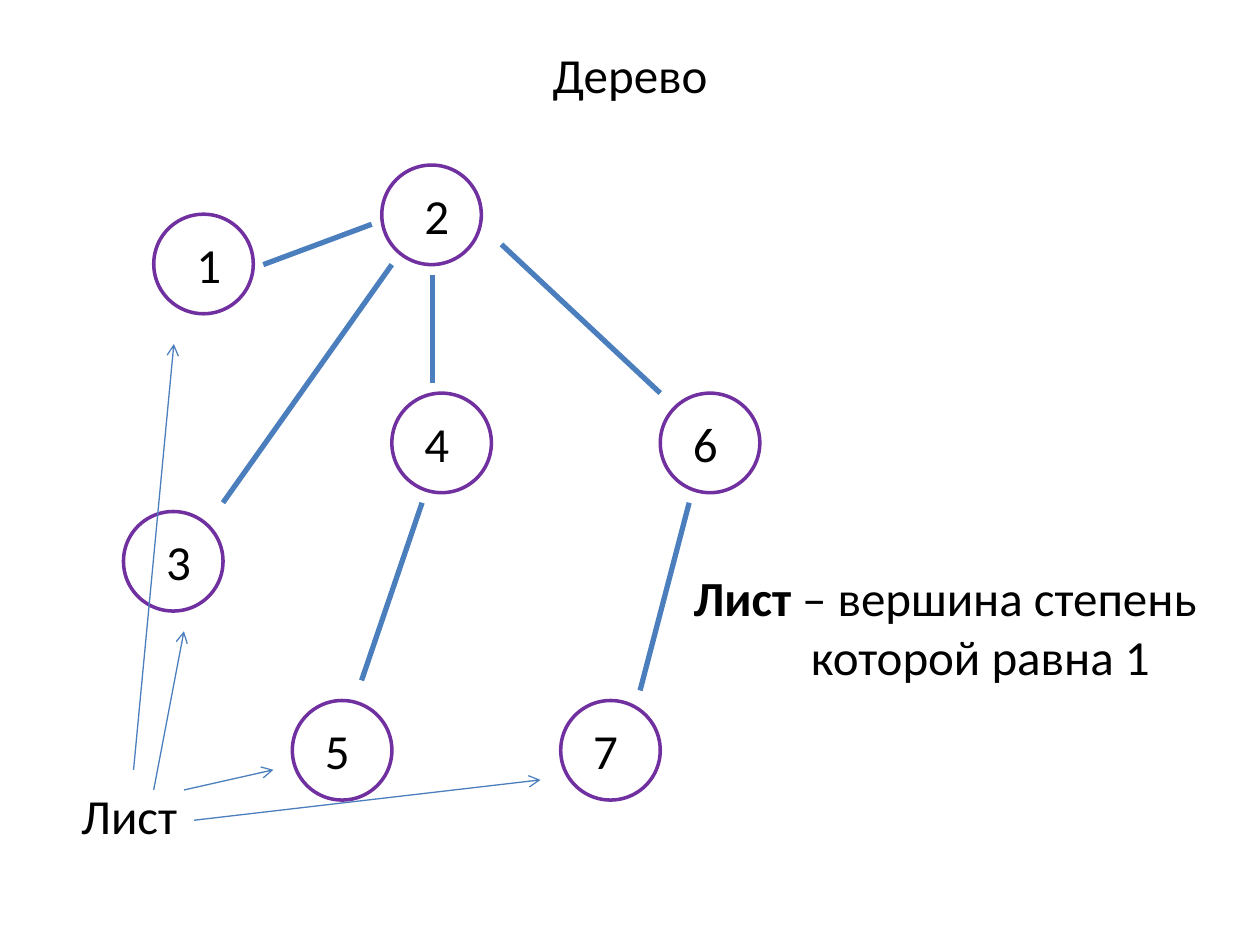
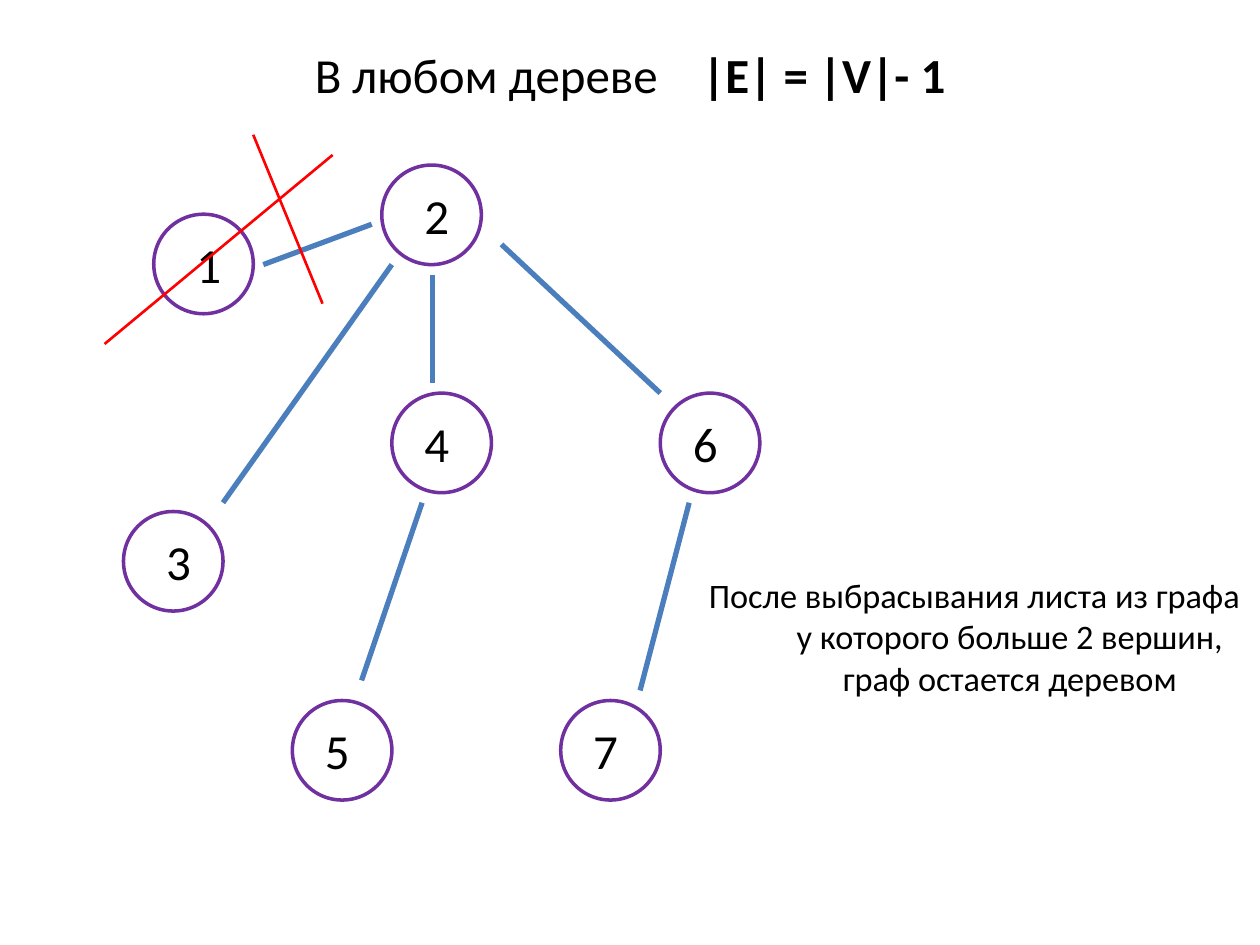
"""Build two slides about trees, leaves and the edge count of a tree."""
from lxml import etree
from pptx import Presentation
from pptx.dml.color import RGBColor
from pptx.enum.shapes import MSO_CONNECTOR, MSO_SHAPE
from pptx.enum.text import MSO_ANCHOR, MSO_AUTO_SIZE, PP_ALIGN
from pptx.oxml.ns import qn
from pptx.util import Emu, Pt

STRAIGHT = MSO_CONNECTOR.STRAIGHT
ELLIPSE = MSO_SHAPE.OVAL
MIDDLE = MSO_ANCHOR.MIDDLE
CENTER = PP_ALIGN.CENTER
FIXED = MSO_AUTO_SIZE.NONE

EMU_PER_PX = 9144
TITLE_ONLY = 5
FONT = "Calibri"
BLACK, WHITE, PURPLE, BLUE, RED = "000000", "FFFFFF", "7030A0", "4B7EBC", "FF0000"

DIAMETER = 79
HANGING = 56
LABEL_TOP = 8
NODES = {
    1: (122, 170, 24),
    2: (303, 131, 24),
    3: (98, 406, 24),
    4: (311, 312, 16),
    5: (232, 556, 16),
    6: (524, 312, 16),
    7: (445, 556, 16),
}
EDGES = [
    (295, 178, 209, 210),
    (177, 399, 311, 210),
    (343, 218, 343, 304),
    (335, 399, 287, 540),
    (547, 399, 508, 548),
    (398, 194, 524, 312),
]
LEAF_ARROWS = [
    (122, 627, 146, 501),
    (106, 611, 138, 273),
    (146, 627, 217, 611),
    (154, 651, 429, 619),
]
CROSS_OUT = [(201, 107, 256, 241), (264, 123, 83, 273)]


def px(value):
    """Turn pixels into EMU."""
    return Emu(value * EMU_PER_PX)


def color(value):
    """Turn a hex string into a colour."""
    return RGBColor.from_string(value)


class TreeDeck:
    """Hold the shared style and the current slide."""

    def __init__(self):
        """Start an empty deck."""
        self.deck = Presentation()
        self.deck.slide_width, self.deck.slide_height = px(1000), px(750)
        self.page = None

    def add_page(self, spans):
        """Add a slide with a formatted title."""
        self.page = self.deck.slides.add_slide(self.deck.slide_layouts[TITLE_ONLY])
        title = self.page.shapes.title
        title.left, title.top, title.width, title.height = map(px, (0, 0, 1000, 118))
        self.fill_text(title, spans)

    def fill_text(self, box, spans, size=28, hanging=0):
        """Put (text, bold, letter spacing) spans centred in a box."""
        frame = box.text_frame
        settings = {"word_wrap": True, "auto_size": FIXED, "vertical_anchor": MIDDLE}
        for name, value in settings.items():
            setattr(frame, name, value)
        para = frame.paragraphs[0]
        para.alignment = CENTER
        if hanging:
            properties = para._p.get_or_add_pPr()
            properties.set("marL", str(px(hanging)))
            properties.set("indent", str(px(-hanging)))
        for text, bold, spacing in spans:
            span = para.add_run()
            span.text = text
            for name, value in {"name": FONT, "size": Pt(size), "bold": bold}.items():
                setattr(span.font, name, value)
            span.font.color.rgb = color(BLACK)
            if spacing:
                span._r.get_or_add_rPr().set("spc", str(spacing))

    def text(self, place, spans, size=28, hanging=0):
        """Add a text box."""
        box = self.page.shapes.add_textbox(*map(px, place))
        self.fill_text(box, spans, size, hanging)

    def node(self, number, left, top, label_left):
        """Add a numbered vertex."""
        circle = self.page.shapes.add_shape(
            ELLIPSE, *map(px, (left, top, DIAMETER, DIAMETER)))
        circle.shadow.inherit = False
        circle.fill.solid()
        circle.fill.fore_color.rgb = color(WHITE)
        circle.line.color.rgb = color(PURPLE)
        circle.line.width = Pt(2)
        self.text((left + label_left, top + LABEL_TOP, 39, 63),
                  [(str(number), False, 0)])

    def line(self, ends, stroke, width, arrow=False):
        """Add a straight line, with an arrowhead at its end if asked."""
        connector = self.page.shapes.add_connector(STRAIGHT, *map(px, ends))
        connector.line.color.rgb = color(stroke)
        connector.line.width = Pt(width)
        properties = connector._element.spPr
        if arrow:
            etree.SubElement(properties.find(qn("a:ln")), qn("a:tailEnd"), type="arrow")
        etree.SubElement(properties, qn("a:effectLst"))

    def tree(self):
        """Draw the vertices and edges."""
        for number, place in NODES.items():
            self.node(number, *place)
        for edge in EDGES:
            self.line(edge, BLUE, 3)


def main():
    """Build both slides and save them."""
    slides = TreeDeck()

    slides.add_page([("Дерево", False, 0)])
    slides.tree()
    slides.text((531, 438, 438, 118),
                [("Лист", True, 0), (" – вершина степень которой равна 1", False, 0)],
                hanging=HANGING)
    for arrow in LEAF_ARROWS:
        slides.line(arrow, BLUE, 0.75, arrow=True)
    slides.text((0, 588, 205, 118), [("Лист", False, 0)], hanging=HANGING)

    slides.add_page([("В любом дереве", False, 0), (" ", False, 1900),
                     ("|E| = |V|- 1", True, 0)])
    slides.tree()
    for stroke in CROSS_OUT:
        slides.line(stroke, RED, 1.5)
    slides.text((547, 446, 453, 118),
                [("После выбрасывания листа из графа у которого больше 2 вершин, "
                  "граф остается деревом", False, 0)], size=19.6, hanging=HANGING)

    slides.deck.save("out.pptx")


if __name__ == "__main__":
    main()
